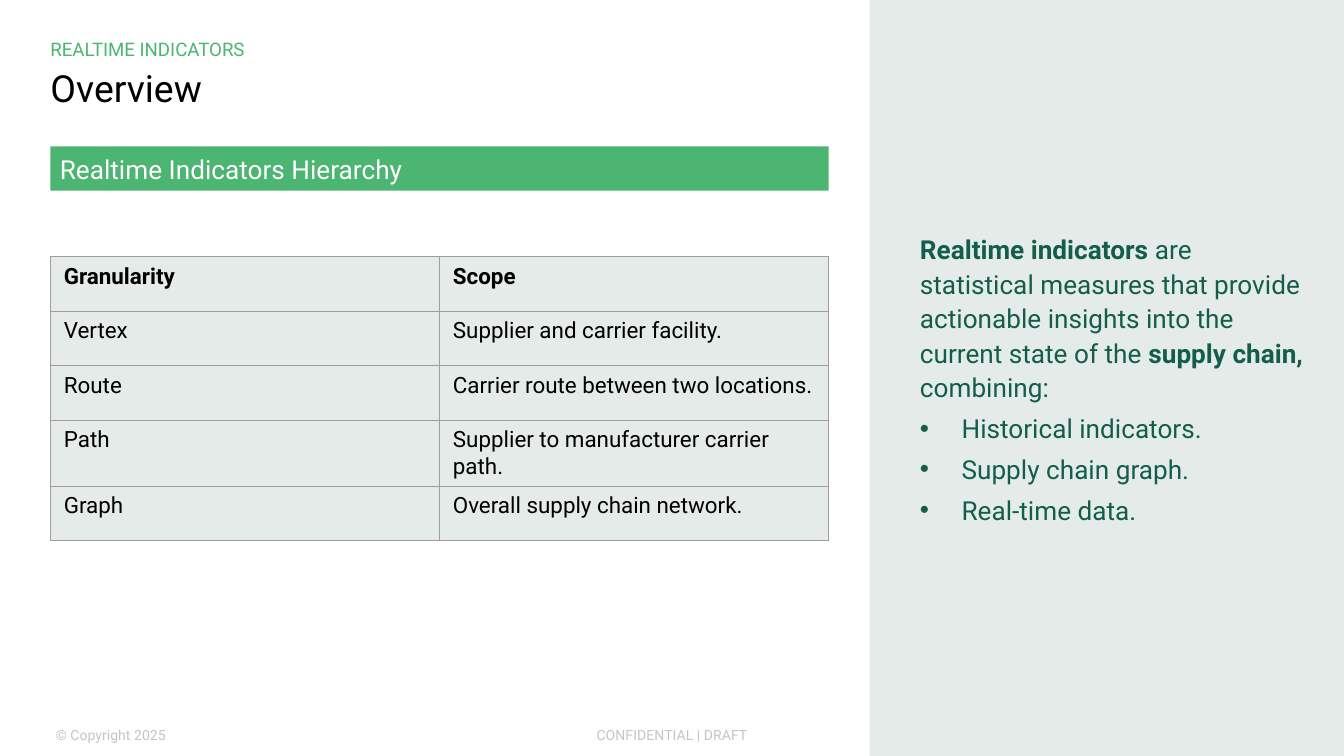
from pptx import Presentation
from pptx import util as u
from pptx.dml.color import RGBColor
from pptx.enum import shapes, text
from pptx.oxml.ns import qn
from lxml import etree

GREEN = RGBColor(0x4C, 0xB5, 0x71)
DARK_GREEN = RGBColor(0x12, 0x5E, 0x4B)
PALE = RGBColor(0xE5, 0xEB, 0xE9)
GREY = RGBColor(0x83, 0x8E, 0x8D)
RULE = RGBColor(0x9E, 0x9E, 0x9E)
BLACK = RGBColor(0, 0, 0)
WHITE = RGBColor(255, 255, 255)

FONT = "Roboto"
WIDTH = 10
HEIGHT = WIDTH * 9 / 16
LEFT, CONTENT_W = HEIGHT / 15, 5.79
PANEL_LEFT = 6.47
TABLE_H = 2.03
LEFT_ALIGN, CENTER = text.PP_ALIGN.LEFT, text.PP_ALIGN.CENTER
TOP, MIDDLE = text.MSO_ANCHOR.TOP, text.MSO_ANCHOR.MIDDLE

ROWS = [
    ("Granularity", "Scope"),
    ("Vertex", "Supplier and carrier facility."),
    ("Route", "Carrier route between two locations."),
    ("Path", "Supplier to manufacturer carrier path."),
    ("Graph", "Overall supply chain network."),
]
DEFINITION = [
    ("Realtime indicators", True),
    (" are statistical measures that provide actionable insights into "
     "the current state of the ", False),
    ("supply chain, ", True),
    ("combining:", False),
]
SOURCES = ["Historical indicators.", "Supply chain graph.", "Real-time data."]


def inches(*values):
    return [u.Inches(v) for v in values]


def style(p, size, color, align=LEFT_ALIGN):
    p.alignment = align
    p.font.name, p.font.size = FONT, u.Pt(size)
    p.font.color.rgb = color


def set_frame(tf, insets, anchor=MIDDLE):
    tf.word_wrap = True
    tf.auto_size = text.MSO_AUTO_SIZE.NONE
    tf.vertical_anchor = anchor
    (tf.margin_left, tf.margin_top,
     tf.margin_right, tf.margin_bottom) = inches(*insets)


def add_label(s, box, words, size, color, insets, align=LEFT_ALIGN):
    tf = s.shapes.add_textbox(*inches(*box)).text_frame
    set_frame(tf, insets)
    p = tf.paragraphs[0]
    p.text = words
    style(p, size, color, align)
    return p


def add_block(s, box, fill, insets):
    sp = s.shapes.add_shape(shapes.MSO_SHAPE.RECTANGLE, *inches(*box))
    sp.shadow.inherit = False
    sp.fill.solid()
    sp.fill.fore_color.rgb = fill
    sp.line.fill.background()
    set_frame(sp.text_frame, insets)
    return sp.text_frame


def add_footer(s, left, width, words, align):
    p = add_label(s, (left, 5.36, width, 0.21), words, 7.5, GREY, [0.04] * 4, align)
    # Half-transparent text
    for color in p._p.iter(qn("a:srgbClr")):
        etree.SubElement(color, qn("a:alpha"), val="50000")


def add_bullet(p):
    pPr = p._p.get_or_add_pPr()
    indent = u.Inches(0.31)
    pPr.set("marL", str(indent))
    pPr.set("indent", str(-indent))
    defaults = pPr.find(qn("a:defRPr"))
    defaults.addprevious(etree.Element(qn("a:buFont"), typeface="Arial"))
    defaults.addprevious(etree.Element(qn("a:buChar"), char="•"))


def add_borders(cell):
    tcPr = cell._tc.get_or_add_tcPr()
    for i, side in enumerate(("lnL", "lnR", "lnT", "lnB")):
        ln = etree.Element(qn(f"a:{side}"), w=str(u.Pt(0.75)))
        fill = etree.SubElement(ln, qn("a:solidFill"))
        etree.SubElement(fill, qn("a:srgbClr"), val=str(RULE))
        tcPr.insert(i, ln)


def add_scope_table(s):
    box = inches(LEFT, 1.91, CONTENT_W, TABLE_H)
    table = s.shapes.add_table(len(ROWS), len(ROWS[0]), *box).table
    for row, words in zip(table.rows, ROWS):
        for cell, word in zip(row.cells, words):
            cell.fill.solid()
            cell.fill.fore_color.rgb = PALE
            add_borders(cell)
            p = cell.text_frame.paragraphs[0]
            p.text = word
            style(p, 12, BLACK)
            p.font.bold = words is ROWS[0]


def add_panel(s):
    tf = add_block(s, (PANEL_LEFT, 0, WIDTH - PANEL_LEFT, HEIGHT), PALE,
                   (LEFT, 0.07, 0.28, 0.07))
    p = tf.paragraphs[0]
    p.line_spacing = 1.1
    for words, bold in DEFINITION:
        r = p.add_run()
        r.text, r.font.bold = words, bold
    for words in SOURCES:
        tf.add_paragraph().text = words
    for p in tf.paragraphs:
        style(p, 14, DARK_GREEN)
        p.space_before = u.Pt(5)
    for p in tf.paragraphs[1:]:
        add_bullet(p)


def add_title(s, words):
    title = s.shapes.title
    title.left, title.top, title.width, title.height = inches(LEFT, 0.45, 6.16, 0.64)
    set_frame(title.text_frame, (0, 0.07, 0, 0.04), TOP)
    p = title.text_frame.paragraphs[0]
    p.text = words
    p.line_spacing = 0.9
    style(p, 20, BLACK)


def main():
    prs = Presentation()
    prs.slide_width, prs.slide_height = inches(WIDTH, HEIGHT)
    s = prs.slides.add_slide(prs.slide_layouts[5])

    # Footer
    add_footer(s, 3.31, 3.38, "CONFIDENTIAL | DRAFT", CENTER)
    add_footer(s, LEFT, 2.97, "© Copyright 2025", LEFT_ALIGN)

    # Heading
    add_title(s, "Overview")
    add_label(s, (LEFT, 0.28, 9.25, 0.17), "REALTIME INDICATORS", 10, GREEN,
              (0, 0, 0.07, 0))

    # Definition panel, hierarchy bar and table
    add_panel(s)
    bar = add_block(s, (LEFT, 1.09, CONTENT_W, 0.33), GREEN, (0.07, 0.04, 0.07, 0.04))
    bar.text = "Realtime Indicators Hierarchy"
    style(bar.paragraphs[0], 14, WHITE)
    add_scope_table(s)

    prs.save("out.pptx")


if __name__ == "__main__":
    main()
